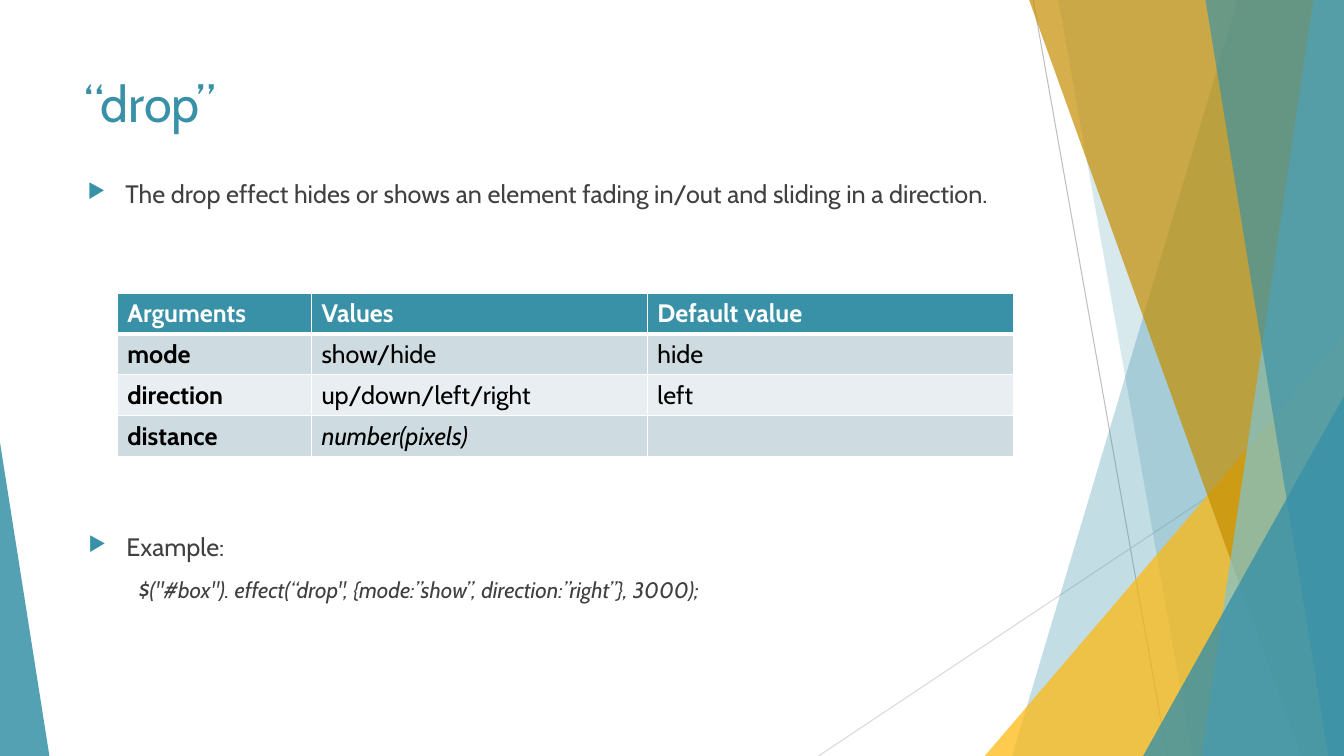
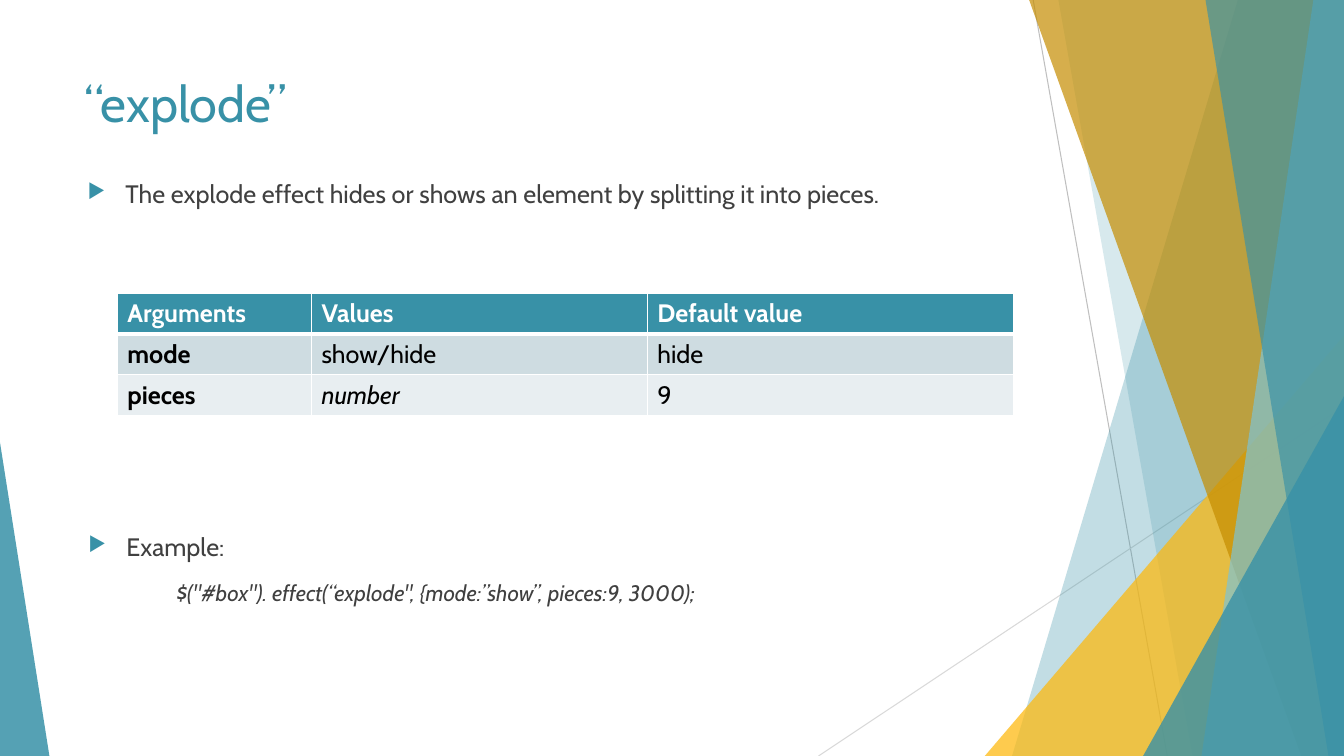
from dataclasses import dataclass

from lxml.etree import SubElement
from pptx import Presentation
from pptx.dml.color import RGBColor
from pptx.enum.shapes import MSO_CONNECTOR as Connector, MSO_SHAPE as Shape
from pptx.oxml.ns import qn
from pptx.util import Emu, Pt


@dataclass(frozen=True)
class Theme:
    font: str = "Cabin"
    teal: str = "3891A7"
    sky: str = "7EC3D4"
    amber: str = "FEB80A"
    ochre: str = "C58D01"
    ink: str = "404040"
    black: str = "000000"
    white: str = "FFFFFF"
    rules: tuple = ("BFBFBF", "D9D9D9")
    stripes: tuple = ("CEDCE1", "E8EEF1")
    title_size: int = 36
    body_size: int = 18
    code_size: int = 16


theme = Theme()

deck = Presentation()
deck.slide_width, deck.slide_height = Emu(12192000), Emu(6858000)
COLUMNS, ROWS = 40, 30
COL, ROW = deck.slide_width // COLUMNS, deck.slide_height // ROWS


def at(*lengths):
    """Turn alternating column and row counts into slide lengths."""
    return [Emu(round(n * (ROW if i % 2 else COL))) for i, n in enumerate(lengths)]


def add_run(para, text, size, color, bold=False, italic=False):
    span = para.add_run()
    span.text = text
    span.font.name = theme.font
    span.font.size = Pt(size)
    span.font.bold = bold
    span.font.italic = italic
    span.font.color.rgb = RGBColor.from_string(color)


# Each topic: name, description, table rows, code, code indent in columns, space before code
topics = [
    (
        "drop",
        "The drop effect hides or shows an element fading in/out and sliding in a direction.",
        [
            ("mode", "show/hide", "hide"),
            ("direction", "up/down/left/right", "left"),
            ("distance", "number(pixels)", ""),
        ],
        '$("#box"). effect(“drop", {mode:”show”, direction:”right”}, 3000);',
        1.5,
        10,
    ),
    (
        "explode",
        "The explode effect hides or shows an element by splitting it into pieces.",
        [("mode", "show/hide", "hide"), ("pieces", "number", "9")],
        '$("#box"). effect(“explode", {mode:”show”, pieces:9, 3000);',
        2.62,
        12,
    ),
]
header = ("Arguments", "Values", "Default value")

# Bands run from the top edge to the bottom edge; wedges stand on the bottom edge
ornaments = [
    ("band", (36.84, 30.12), theme.teal, 30),
    ("band", (31.5, 35.49), theme.teal, 20),
    ("wedge", (29.31, 13.32, 10.69, 1), theme.amber, 72),
    ("band", (30.63, 38.73), theme.ochre, 70),
    ("band", (39.09, 35.76), theme.sky, 70),
    ("band", (35.88, 39.54), theme.teal, 65),
    ("wedge", (34.02, 15.72, 5.98, 1), theme.teal, 80),
    ("wedge", (0, 17.56, 1.47, 0), theme.teal, 85),
]
rule_ends = [(30.75, 0, 34.74, ROWS), (COLUMNS, 16.12, 24.36, ROWS)]

# The blank layout carries the ornaments, so both pages share them
layout = deck.slide_layouts[6]
for holder in list(layout.placeholders):
    layout.shapes.element.remove(holder.element)
pages = [deck.slides.add_slide(layout) for topic in topics]
canvas = pages[0].shapes

for ends, color in zip(rule_ends, theme.rules):
    rule = canvas.add_connector(Connector.STRAIGHT, *at(*ends))
    rule.line.color.rgb = RGBColor.from_string(color)
    rule.line.width = Pt(0.75)
    SubElement(rule.element.spPr, qn("a:effectLst"))

for kind, place, color, opacity in ornaments:
    if kind == "band":
        top, bottom = place
        builder = canvas.build_freeform(*at(top, 0))
        corners = [(COLUMNS, 0), (COLUMNS, ROWS), (bottom, ROWS)]
        builder.add_line_segments([at(*corner) for corner in corners], close=True)
        ornament = builder.convert_to_shape()
    else:
        left, top, width, apex = place
        box = at(left, top, width, ROWS - top)
        ornament = canvas.add_shape(Shape.ISOSCELES_TRIANGLE, *box)
        ornament.adjustments[0] = apex
    ornament.shadow.inherit = False
    ornament.line.fill.background()
    ornament.fill.solid()
    ornament.fill.fore_color.rgb = RGBColor.from_string(color)
    tint = ornament.element.spPr.find(qn("a:solidFill"))[0]
    SubElement(tint, qn("a:alpha"), val=str(opacity * 1000))

for ornament in list(canvas):
    layout.shapes.element.append(ornament.element)

BULLET_INDENT = 1.13
TABLE_COLUMNS = (5.78, 10, 10.89)
TABLE_ROW = 1.62

for page, topic in zip(pages, topics):
    name, description, arguments, code, code_indent, code_gap = topic

    # Paragraphs: text, size, color, italic, indent, bulleted, space before
    bullet_style = (theme.body_size, theme.ink, False, BULLET_INDENT, True, 0)
    text_boxes = [
        ((2.22, 2.68, 28.2, 5.76),
         [(f"“{name}”", theme.title_size, theme.teal, False, 0, False, 0)]),
        ((2.31, 6.88, 28.2, 4), [(description, *bullet_style)]),
        ((2.34, 20.9, 28.2, 6.62),
         [("Example:", *bullet_style),
          (code, theme.code_size, theme.ink, True, code_indent, False, code_gap)]),
    ]
    for place, paragraphs in text_boxes:
        frame = page.shapes.add_textbox(*at(*place)).text_frame
        frame.word_wrap = True
        for i, (text, size, color, italic, indent, bulleted, gap) in enumerate(paragraphs):
            para = frame.add_paragraph() if i else frame.paragraphs[0]
            properties = para._p.get_or_add_pPr()
            properties.set("marL", str(round(indent * COL)))
            if bulleted:
                properties.set("indent", str(-round(indent * COL)))
                bullet_color = SubElement(properties, qn("a:buClr"))
                SubElement(bullet_color, qn("a:srgbClr"), val=theme.teal)
                SubElement(properties, qn("a:buSzPct"), val="80000")
                SubElement(properties, qn("a:buChar"), char="▶")
            if gap:
                para.space_before = Pt(gap)
            add_run(para, text, size, color, italic=italic)

    rows = [header, *arguments]
    place = at(3.49, 11.64, sum(TABLE_COLUMNS), TABLE_ROW * len(rows))
    table = page.shapes.add_table(len(rows), len(header), *place).table
    for column, width in zip(table.columns, TABLE_COLUMNS):
        column.width = Emu(round(width * COL))
    for r, texts in enumerate(rows):
        table.rows[r].height = Emu(round(TABLE_ROW * ROW))
        for c, text in enumerate(texts):
            cell = table.cell(r, c)
            properties = cell._tc.get_or_add_tcPr()
            for side in ("L", "R", "T", "B"):
                below_header = (r, side) in ((0, "B"), (1, "T"))
                border = SubElement(properties, qn(f"a:ln{side}"),
                                    w=str(Pt(3 if below_header else 1)))
                paint = SubElement(border, qn("a:solidFill"))
                SubElement(paint, qn("a:srgbClr"), val=theme.white)
            fill = theme.stripes[(r - 1) % 2] if r else theme.teal
            cell.fill.solid()
            cell.fill.fore_color.rgb = RGBColor.from_string(fill)
            if text:
                add_run(cell.text_frame.paragraphs[0], text, theme.body_size,
                        theme.black if r else theme.white,
                        bold=r == 0 or c == 0, italic=text.startswith("number"))

deck.save("out.pptx")
